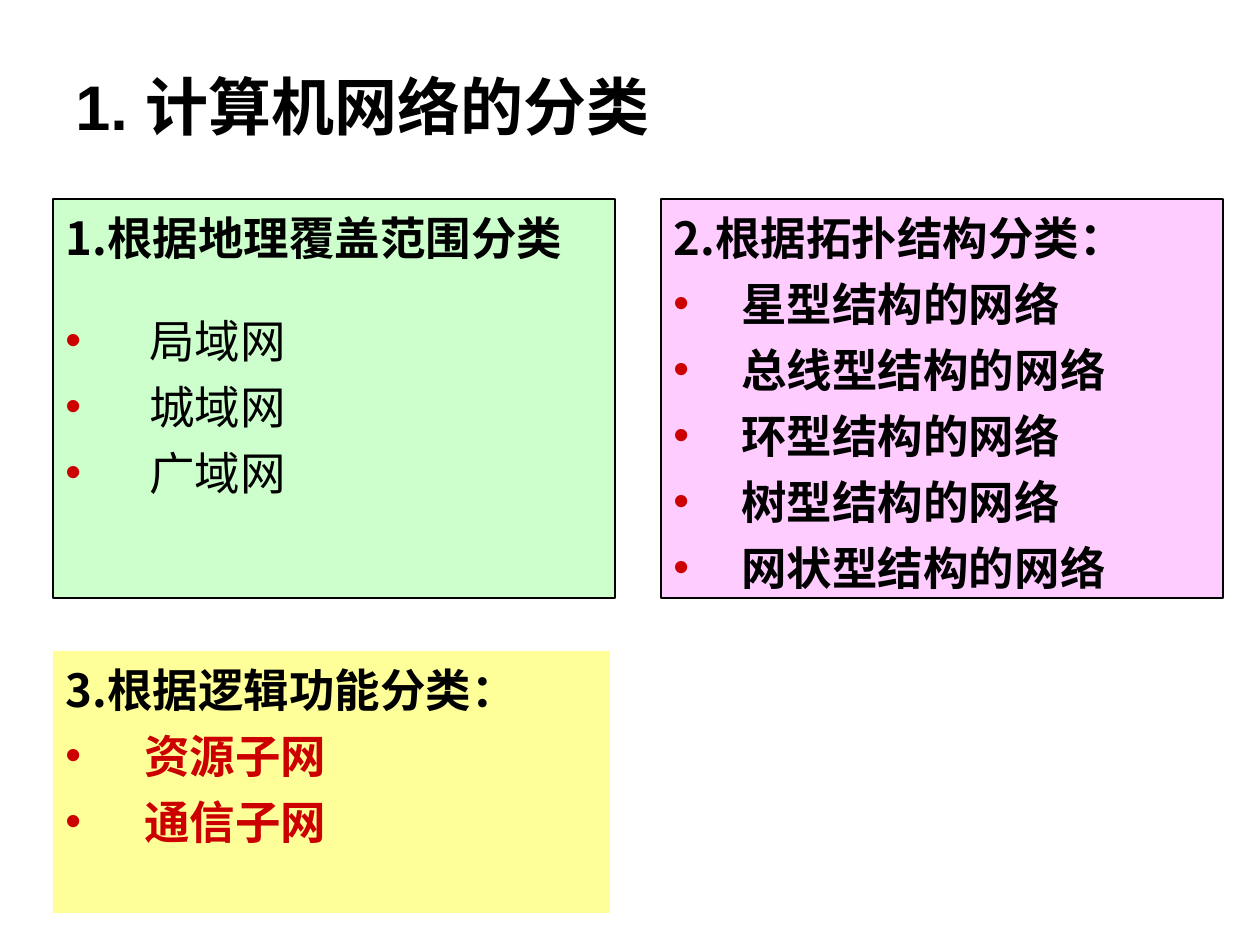
from lxml.etree import SubElement
from pptx import Presentation
from pptx.dml.color import RGBColor as RGB
from pptx.enum.shapes import MSO_SHAPE as Shape
from pptx.enum.text import MSO_ANCHOR as Anchor, PP_ALIGN as Align
from pptx.oxml.ns import qn
from pptx.util import Emu, Pt

BLACK = RGB(0, 0, 0)
RED = RGB(0xCC, 0, 0)
GREEN = RGB(0xCC, 0xFF, 0xCC)
PINK = RGB(0xFF, 0xCC, 0xFF)
YELLOW = RGB(0xFF, 0xFF, 0x99)
LATIN = "Arial"
CJK = "Noto Sans CJK SC"


def px(n):
    return Emu(round(n * 914400 / 126))


def style(para, size, face, color=BLACK, bold=True):
    para.alignment = Align.LEFT
    font = para.font
    font.size, font.name, font.bold = Pt(size), face, bold
    font.color.rgb = color
    props = para._p.pPr.find(qn("a:defRPr"))
    SubElement(props, qn("a:ea"), typeface=CJK)


def indent(para, dist, dot):
    """Hang the paragraph by dist, with a red dot if asked."""
    props = para._p.get_or_add_pPr()
    props.set("marL", str(px(dist)))
    props.set("indent", str(-px(dist)))
    if dot:
        color = SubElement(props, qn("a:buClr"))
        SubElement(color, qn("a:srgbClr"), val=str(RED))
        SubElement(props, qn("a:buSzPct"), val="99000")
        SubElement(props, qn("a:buFont"), typeface=LATIN)
        SubElement(props, qn("a:buChar"), char="•")
    else:
        SubElement(props, qn("a:buNone"))


def title(slide, box, text):
    frame = slide.shapes.add_textbox(*map(px, box)).text_frame
    frame.word_wrap = True
    frame.vertical_anchor = Anchor.MIDDLE
    para = frame.paragraphs[0]
    para.text = text
    style(para, 36, LATIN)


def panel(slide, box, fill, head, items, hang, edge=True,
          face=CJK, color=BLACK, bold=True, gap=3.7):
    """Filled box with a heading and dotted items; gap precedes the first."""
    shape = slide.shapes.add_shape(Shape.RECTANGLE, *map(px, box))
    shape.shadow.inherit = False
    shape.fill.solid()
    shape.fill.fore_color.rgb = fill
    if edge:
        shape.line.color.rgb = BLACK
        shape.line.width = Pt(0.75)
    else:
        shape.line.fill.background()
    frame = shape.text_frame
    frame.word_wrap = True
    frame.vertical_anchor = Anchor.TOP
    for i, text in enumerate([head, *items]):
        para = frame.add_paragraph() if i else frame.paragraphs[0]
        para.text = text
        indent(para, hang, i > 0)
        para.line_spacing = Pt(34)
        if i:
            para.space_before = Pt(gap if i == 1 else 3.7)
            style(para, 26, face, color, bold)
        else:
            style(para, 26, CJK)


def main():
    deck = Presentation()
    deck.slide_width, deck.slide_height = px(1260), px(945)
    slide = deck.slides.add_slide(deck.slide_layouts[6])
    title(slide, (63, 53, 1124, 105), "1. 计算机网络的分类")
    panel(slide, (53, 199, 562, 399), GREEN, "1.根据地理覆盖范围分类",
          ["局域网", "城域网", "广域网"], 84,
          face=LATIN, bold=False, gap=24.8)
    kinds = ["星型", "总线型", "环型", "树型", "网状型"]
    panel(slide, (661, 199, 562, 399), PINK, "2.根据拓扑结构分类：",
          [kind + "结构的网络" for kind in kinds], 68)
    panel(slide, (53, 651, 557, 262), YELLOW, "3.根据逻辑功能分类：",
          ["资源子网", "通信子网"], 79, edge=False, color=RED)
    deck.save("out.pptx")


if __name__ == "__main__":
    main()
